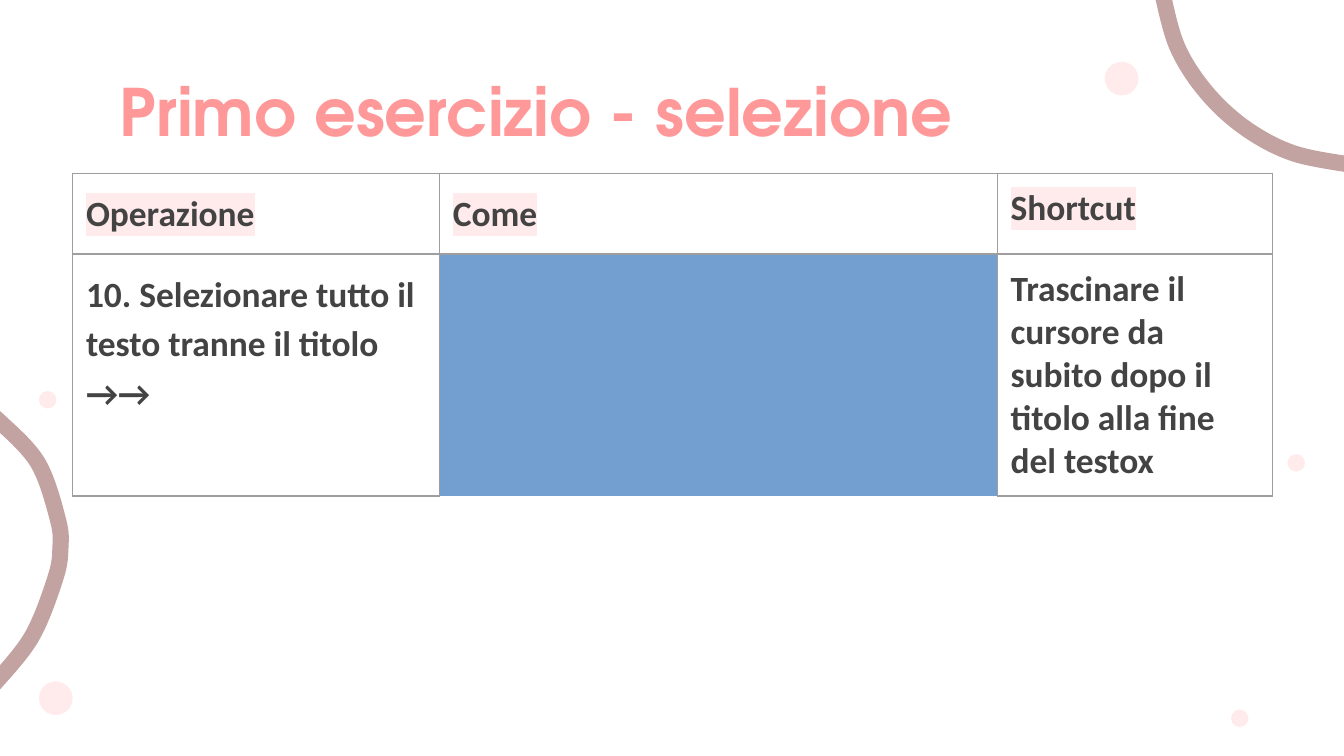
import math

from lxml import etree
from pptx import Presentation
from pptx.dml.color import RGBColor
from pptx.enum import shapes, text
from pptx.oxml import ns
from pptx.util import Inches, Pt

CORAL = RGBColor(0xFF, 0x99, 0x99)
BLUSH = RGBColor(0xFF, 0xEB, 0xEB)
MAUVE = RGBColor(0xC3, 0xA2, 0xA2)
INK = RGBColor(0x43, 0x43, 0x43)
GREY = RGBColor(0x9E, 0x9E, 0x9E)

LEFT_ARC = [(0, 0.07), (0.06, 0.1), (0.35, 0.41), (0.5, 0.83),
            (0.52, 1.05), (0.48, 1.28), (0.3, 1.72), (0, 2.09)]
RIGHT_ARC = [(0, 0), (0.11, 0.39), (0.32, 0.72), (0.61, 0.99),
             (0.97, 1.18), (1.42, 1.27)]
DOTS = [(0.29, 5.07, 0.25), (9.58, 3.38, 0.13), (8.22, 0.46, 0.25),
        (9.16, 5.28, 0.13), (0.29, 2.91, 0.13)]
COLS = [2.31, 0.42, 4.15, 2.05]
ROWS = [0.6, 0.42]


def paint(sp, color):
    """Give a shape a plain fill with no line or shadow."""
    sp.shadow.inherit = False
    sp.fill.solid()
    sp.fill.fore_color.rgb = color
    sp.line.fill.background()


def spline(pts, steps=10):
    """Sample a smooth curve through the points."""
    ext = [pts[0], *pts, pts[-1]]
    curve = []
    for a, b, c, d in zip(ext, ext[1:], ext[2:], ext[3:]):
        for i in range(steps):
            t = i / steps
            curve.append(tuple(
                (2 * q + (r - p) * t + (2 * p - 5 * q + 4 * r - w) * t ** 2
                 + (3 * q - p - 3 * r + w) * t ** 3) / 2
                for p, q, r, w in zip(a, b, c, d)))
    return curve + [pts[-1]]


def add_band(s, x, y, pts, width=0.12):
    """Draw a round-ended curved band whose centre line starts from (x, y)."""
    curve = spline([(x + dx, y + dy) for dx, dy in pts])
    last = len(curve) - 1
    angles = []
    for i in range(last + 1):
        (x0, y0), (x1, y1) = curve[max(i - 1, 0)], curve[min(i + 1, last)]
        angles.append(math.atan2(y1 - y0, x1 - x0))

    def edge(i, turn):
        """Return the outline point at a turn from the direction of travel."""
        angle = angles[i] + math.radians(turn)
        return (Inches(curve[i][0] + width / 2 * math.cos(angle)),
                Inches(curve[i][1] + width / 2 * math.sin(angle)))

    outline = [edge(i, -90) for i in range(last + 1)]
    outline += [edge(last, turn) for turn in range(-70, 90, 20)]
    outline += [edge(i, 90) for i in range(last, -1, -1)]
    outline += [edge(0, turn) for turn in range(110, 270, 20)]
    fb = s.shapes.build_freeform(*outline[0])
    fb.add_line_segments(outline[1:], close=True)
    paint(fb.convert_to_shape(), MAUVE)


def add_decoration(s):
    """Draw the two curved bands and the scattered dots."""
    add_band(s, -0.07, 3.03, LEFT_ARC)
    add_band(s, 8.65, -0.04, RIGHT_ARC)
    for x, y, size in DOTS:
        sp = s.shapes.add_shape(shapes.MSO_SHAPE.OVAL, Inches(x), Inches(y),
                                Inches(size), Inches(size))
        paint(sp, BLUSH)


def add_run(p, words, font, size, color, bold=True):
    """Add one formatted run to a paragraph."""
    r = p.add_run()
    r.text = words
    r.font.name, r.font.size, r.font.bold = font, Pt(size), bold
    r.font.color.rgb = color
    return r


def set_margins(box):
    """Set equal inner margins on a text frame or cell."""
    box.margin_left = box.margin_right = Inches(0.1)
    box.margin_top = box.margin_bottom = Inches(0.1)


def add_title(s, x, y, w, h):
    """Place and format the title placeholder."""
    sp = s.shapes.title
    sp.left, sp.top, sp.width, sp.height = map(Inches, (x, y, w, h))
    tf = sp.text_frame
    set_margins(tf)
    tf.word_wrap = True
    tf.auto_size = text.MSO_AUTO_SIZE.NONE
    tf.vertical_anchor = text.MSO_ANCHOR.TOP
    p = tf.paragraphs[0]
    p.alignment = text.PP_ALIGN.LEFT
    add_run(p, "Primo esercizio - selezione", "TeX Gyre Adventor", 35, CORAL)


def add_color(parent, color):
    """Append an RGB colour element."""
    etree.SubElement(parent, ns.qn("a:srgbClr"), val=str(color))


def highlight(r):
    """Put the blush highlight behind a run."""
    mark = etree.Element(ns.qn("a:highlight"))
    add_color(mark, BLUSH)
    r.font._element.find(ns.qn("a:solidFill")).addnext(mark)


def set_borders(cell):
    """Draw thin grey lines on all four sides of a cell."""
    tcPr = cell._tc.get_or_add_tcPr()
    for i, side in enumerate("LRTB"):
        ln = etree.Element(ns.qn(f"a:ln{side}"), w=str(Pt(0.75)))
        add_color(etree.SubElement(ln, ns.qn("a:solidFill")), GREY)
        tcPr.insert(i, ln)


def fill_cell(cell, words, spacing=None, marked=False, bold=True):
    """Write the text of one table cell."""
    p = cell.text_frame.paragraphs[0]
    if spacing:
        p.line_spacing = spacing
    r = add_run(p, words, "Calibri", 19, INK, bold)
    if marked:
        highlight(r)


def add_exercise_table(s, x, y):
    """Build the table of operation, method and shortcut."""
    tbl = s.shapes.add_table(len(ROWS), len(COLS), Inches(x), Inches(y),
                             Inches(sum(COLS)), Inches(sum(ROWS))).table
    tbl.first_row = tbl.horz_banding = False
    for col, w in zip(tbl.columns, COLS):
        col.width = Inches(w)
    for row, h in zip(tbl.rows, ROWS):
        row.height = Inches(h)
    for cell in tbl.iter_cells():
        set_margins(cell)
        cell.fill.background()
        set_borders(cell)
    for i in range(len(ROWS)):
        tbl.cell(i, 0).merge(tbl.cell(i, 1))
    fill_cell(tbl.cell(0, 0), "Operazione", 1.15, True)
    fill_cell(tbl.cell(0, 2), "Come", 1.15, True)
    fill_cell(tbl.cell(0, 3), "Shortcut", marked=True)
    fill_cell(tbl.cell(1, 0),
              "10. Selezionare tutto il testo tranne il titolo →→", 1.15)
    fill_cell(tbl.cell(1, 2),
              "Trascinare il cursore da subito dopo il titolo alla fine del testo",
              1.15, bold=False)
    fill_cell(tbl.cell(1, 3), "x")


def main():
    """Build and save the slide."""
    prs = Presentation()
    prs.slide_width = Inches(10)
    prs.slide_height = prs.slide_width * 9 // 16
    s = prs.slides.add_slide(prs.slide_layouts[5])
    add_decoration(s)
    add_title(s, 0.79, 0.43, 8.43, 0.63)
    add_exercise_table(s, 0.54, 1.29)
    prs.save("out.pptx")


if __name__ == "__main__":
    main()
